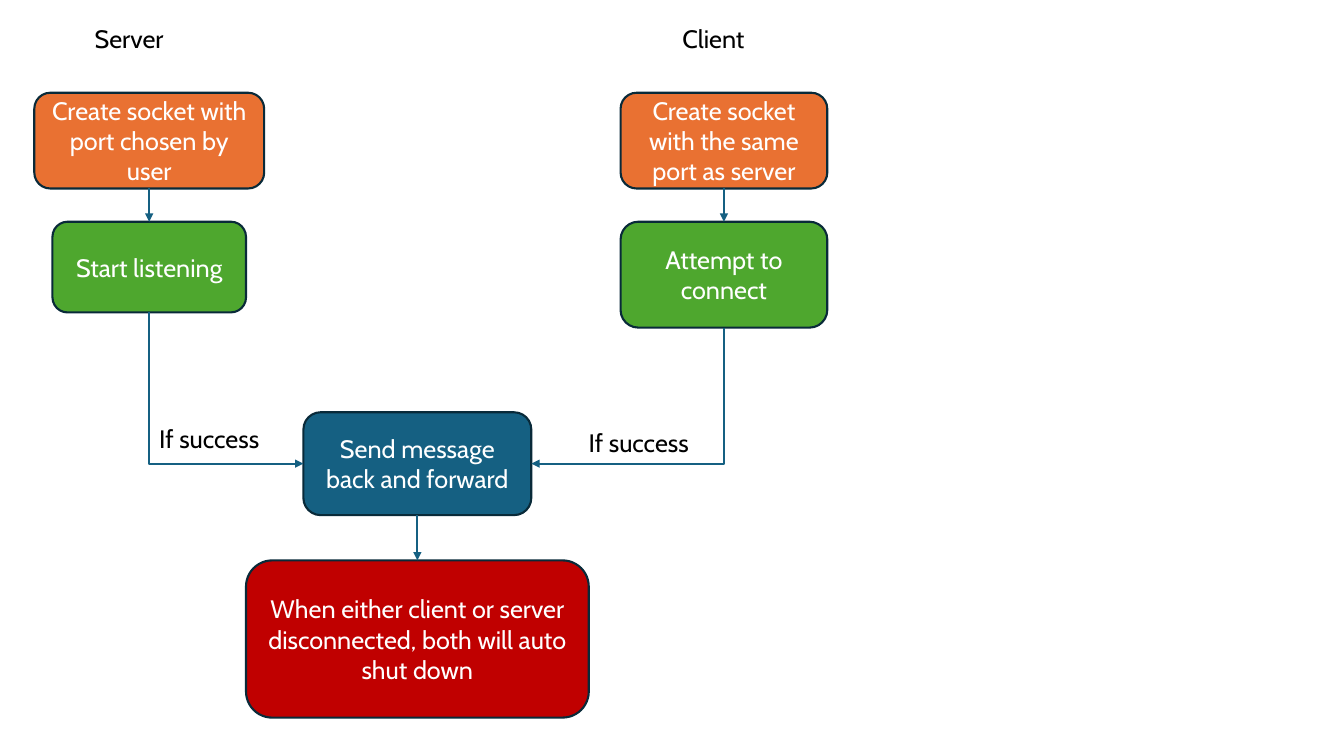
from dataclasses import dataclass

from lxml.etree import SubElement
from pptx import Presentation
from pptx.dml.color import RGBColor
from pptx.enum.shapes import MSO_CONNECTOR, MSO_SHAPE
from pptx.enum.text import MSO_ANCHOR, MSO_AUTO_SIZE, PP_ALIGN
from pptx.oxml.ns import qn
from pptx.shapes.autoshape import Shape
from pptx.shapes.connector import Connector
from pptx.slide import Slide
from pptx.text.text import TextFrame
from pptx.util import Inches, Pt

COLORS = {
    "socket": "E97132",
    "connection": "4EA72E",
    "message": "156082",
    "shutdown": "C00000",
    "outline": "092A39",
    "arrow": "156082",
    "light": "FFFFFF",
    "dark": "000000",
}
FONT = "Cabin"
TOP, LEFT, BOTTOM, RIGHT = range(4)
SERVER_X, MESSAGE_X, CLIENT_X = 1.48, 4.14, 7.18


@dataclass
class Step:
    name: str
    text: str
    color: str
    center: float
    top: float
    width: float
    height: float


@dataclass
class Label:
    text: str
    left: float
    top: float
    width: float


STEPS = [
    Step("server socket", "Create socket with port chosen by user", "socket", SERVER_X, 0.92, 2.28, 0.95),
    Step("client socket", "Create socket with the same port as server", "socket", CLIENT_X, 0.92, 2.05, 0.95),
    Step("listen", "Start listening", "connection", SERVER_X, 2.2, 1.92, 0.9),
    Step("connect", "Attempt to connect", "connection", CLIENT_X, 2.2, 2.05, 1.05),
    Step("message", "Send message back and forward", "message", MESSAGE_X, 4.09, 2.26, 1.02),
    Step(
        "shutdown",
        "When either client or server disconnected, both will auto shut down",
        "shutdown", MESSAGE_X, 5.56, 3.4, 1.56,
    ),
]
LABELS = [
    Label("Server", 0.84, 0.18, 0.89),
    Label("Client", 6.67, 0.18, 0.86),
    Label("If success", 5.74, 4.19, 1.3),
    Label("If success", 1.48, 4.15, 1.3),
]
STRAIGHT_ARROWS = [
    ("server socket", "listen"),
    ("client socket", "connect"),
    ("message", "shutdown"),
]
BENT_ARROWS = [("listen", "message", LEFT), ("connect", "message", RIGHT)]


def color(name: str) -> RGBColor:
    return RGBColor.from_string(COLORS[name])


def write_text(text_frame: TextFrame, text: str, color_name: str) -> None:
    text_frame.text = text
    font = text_frame.paragraphs[0].runs[0].font
    font.name = FONT
    font.size = Pt(18)
    font.color.rgb = color(color_name)


def draw_step(slide: Slide, step: Step) -> Shape:
    shape = slide.shapes.add_shape(
        MSO_SHAPE.ROUNDED_RECTANGLE,
        Inches(step.center - step.width / 2), Inches(step.top),
        Inches(step.width), Inches(step.height),
    )
    shape.shadow.inherit = False
    shape.fill.solid()
    shape.fill.fore_color.rgb = color(step.color)
    shape.line.color.rgb = color("outline")
    shape.line.width = Pt(1.5)
    text_frame = shape.text_frame
    write_text(text_frame, step.text, "light")
    text_frame.word_wrap = True
    text_frame.vertical_anchor = MSO_ANCHOR.MIDDLE
    text_frame.paragraphs[0].alignment = PP_ALIGN.CENTER
    return shape


def draw_label(slide: Slide, label: Label) -> None:
    text_box = slide.shapes.add_textbox(
        Inches(label.left), Inches(label.top), Inches(label.width), Inches(0.4)
    )
    text_frame = text_box.text_frame
    write_text(text_frame, label.text, "dark")
    text_frame.word_wrap = False
    text_frame.auto_size = MSO_AUTO_SIZE.SHAPE_TO_FIT_TEXT


def draw_arrow(
    slide: Slide, kind: MSO_CONNECTOR, source: Shape, target: Shape, target_side: int
) -> Connector:
    connector = slide.shapes.add_connector(kind, 0, 0, 0, 0)
    connector.begin_connect(source, BOTTOM)
    connector.end_connect(target, target_side)
    connector.line.color.rgb = color("arrow")
    connector.line.width = Pt(1.5)
    SubElement(connector.line._get_or_add_ln(), qn("a:tailEnd"), type="triangle")
    SubElement(connector.element.spPr, qn("a:effectLst"))
    return connector


def bend_down_then_across(connector: Connector) -> None:
    start_x, start_y = connector.begin_x, connector.begin_y
    end_x, end_y = connector.end_x, connector.end_y
    across, down = abs(end_x - start_x), end_y - start_y
    properties = connector.element.spPr
    properties.find(qn("a:prstGeom")).set("prst", "bentConnector2")
    transform = properties.find(qn("a:xfrm"))
    heads_right = end_x > start_x
    transform.set("rot", str((270 if heads_right else 90) * 60000))
    transform.set("flipH", "1" if heads_right else "0")
    connector.left = (start_x + end_x - down) // 2
    connector.top = (start_y + end_y - across) // 2
    connector.width, connector.height = down, across


def main() -> None:
    presentation = Presentation()
    presentation.slide_width = Inches(13.33)
    presentation.slide_height = Inches(7.5)
    slide = presentation.slides.add_slide(presentation.slide_layouts[6])
    shapes = {step.name: draw_step(slide, step) for step in STEPS}
    for source, target in STRAIGHT_ARROWS:
        draw_arrow(slide, MSO_CONNECTOR.STRAIGHT, shapes[source], shapes[target], TOP)
    for source, target, side in BENT_ARROWS:
        bend_down_then_across(
            draw_arrow(slide, MSO_CONNECTOR.ELBOW, shapes[source], shapes[target], side)
        )
    for label in LABELS:
        draw_label(slide, label)
    presentation.save("out.pptx")


if __name__ == "__main__":
    main()
